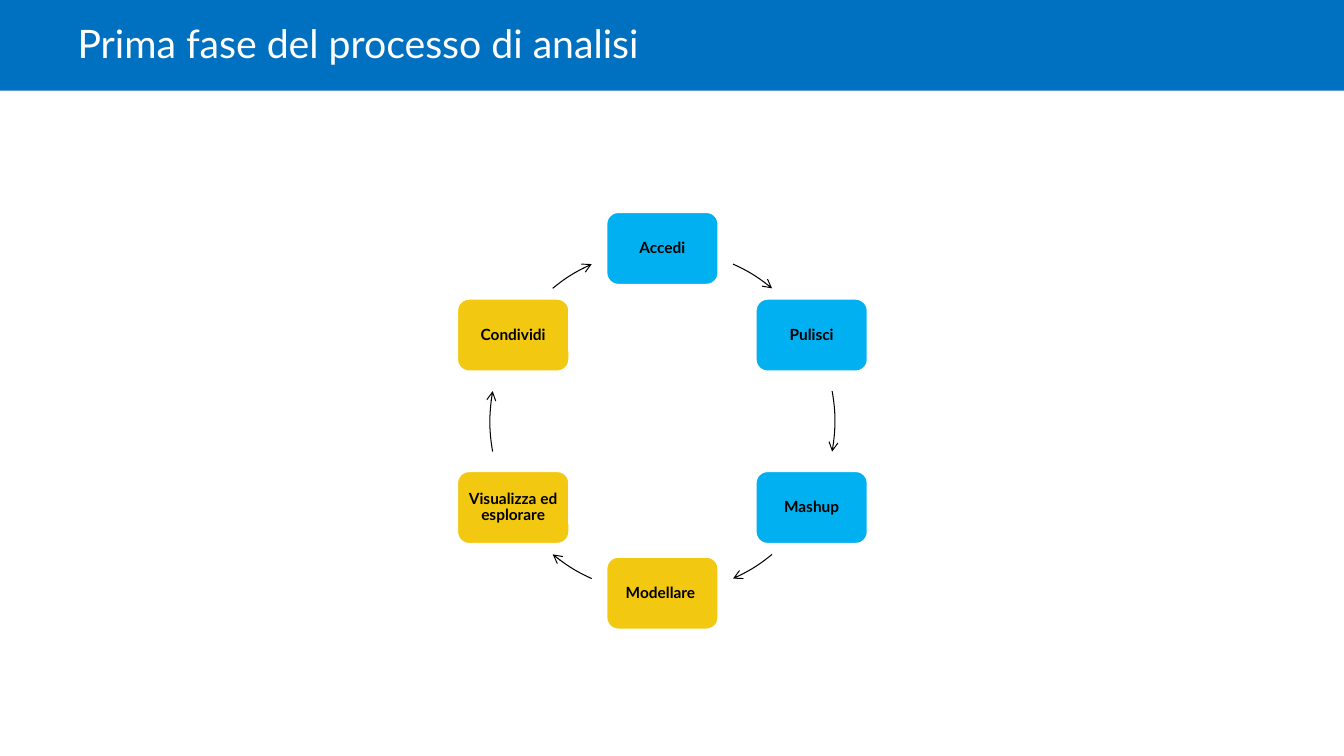
import math
from dataclasses import dataclass

from lxml import etree
from pptx import Presentation
from pptx import util as u
from pptx.dml.color import RGBColor
from pptx.enum import shapes, text
from pptx.oxml.ns import qn

PX = u.Inches(1) // 100  # one px is a hundredth of an inch


@dataclass(frozen=True)
class Theme:
    font: str = "Lato"
    bar: str = "0070C0"
    prepare: str = "00B0F0"
    deliver: str = "F2C811"
    ink: str = "000000"
    paper: str = "FFFFFF"
    title_size: int = 28
    step_size: int = 11


def paint(target, colour):
    target.solid()
    target.fore_color.rgb = RGBColor.from_string(colour)


def write(shape, words, *, font, size, colour, bold=False,
          align=text.PP_ALIGN.LEFT, inset=10):
    """Put one formatted paragraph, vertically centred, into a shape."""
    frame = shape.text_frame
    frame.word_wrap = True
    frame.auto_size = text.MSO_AUTO_SIZE.NONE
    frame.vertical_anchor = text.MSO_ANCHOR.MIDDLE
    frame.margin_left = frame.margin_right = inset * PX
    frame.margin_top = frame.margin_bottom = inset * PX
    para = frame.paragraphs[0]
    para.alignment = align
    para.line_spacing = 0.9
    span = para.add_run()
    span.text = words
    span.font.name = font
    span.font.size = u.Pt(size)
    span.font.bold = bold
    span.font.color.rgb = RGBColor.from_string(colour)


def around(centre, radius, angle):
    """Point on a circle, in degrees clockwise from the top."""
    turn = math.radians(angle)
    return (centre[0] + radius * math.sin(turn),
            centre[1] - radius * math.cos(turn))


def bezier_arc(centre, radius, start, end):
    """Four points of the cubic curve that follows a clockwise arc."""
    pull = 4 / 3 * math.tan(math.radians(end - start) / 4)
    reach = radius * math.hypot(1, pull)
    lean = math.degrees(math.atan(pull))
    return [around(centre, radius, start), around(centre, reach, start + lean),
            around(centre, reach, end - lean), around(centre, radius, end)]


class CyclePage:
    def __init__(self, page, theme):
        self.page = page
        self.theme = theme

    def block(self, kind, left, top, width, height, fill):
        box = self.page.shapes.add_shape(
            kind, left * PX, top * PX, width * PX, height * PX)
        box.shadow.inherit = False
        paint(box.fill, fill)
        box.line.fill.background()
        return box

    def title(self, words, width, height):
        """Lay the coloured bar and set the title placeholder over it."""
        self.block(shapes.MSO_SHAPE.RECTANGLE, 0, 0, width, height, self.theme.bar)
        title = self.page.shapes.title
        title.left, title.top = 67 * PX, 0
        title.width, title.height = 1200 * PX, height * PX
        self.page.shapes._spTree.append(title._element)
        write(title, words, font=self.theme.font, size=self.theme.title_size,
              colour=self.theme.paper)

    def step(self, words, centre, size, fill):
        (x, y), (width, height) = centre, size
        box = self.block(shapes.MSO_SHAPE.ROUNDED_RECTANGLE, round(x - width / 2),
                         round(y - height / 2), width, height, fill)
        paint(box.line.fill, self.theme.paper)
        box.line.width = u.Pt(2)
        write(box, words, font=self.theme.font, size=self.theme.step_size,
              colour=self.theme.ink, bold=True,
              align=text.PP_ALIGN.CENTER, inset=5)

    def arc_arrow(self, centre, radius, start, end):
        """Draw a clockwise arc, framed by its whole circle, with an open head."""
        left, top = ((middle - radius) * PX for middle in centre)
        side = 2 * radius * PX
        builder = self.page.shapes.build_freeform(left, top)
        builder.add_line_segments([(left + side, top + side)], close=False)
        arc = builder.convert_to_shape()
        outline = arc._element.find(".//" + qn("a:path"))
        for stroke in list(outline):
            outline.remove(stroke)
        points = bezier_arc((radius * PX, radius * PX), radius * PX, start, end)
        for tag, part in (("a:moveTo", points[:1]), ("a:cubicBezTo", points[1:])):
            stroke = etree.SubElement(outline, qn(tag))
            for x, y in part:
                etree.SubElement(stroke, qn("a:pt"), x=str(round(x)), y=str(round(y)))
        arc.shadow.inherit = False
        arc.fill.background()
        paint(arc.line.fill, self.theme.ink)
        arc.line.width = u.Pt(0.75)
        etree.SubElement(arc.line._get_or_add_ln(), qn("a:tailEnd"), type="arrow")


def main():
    theme = Theme()
    deck = Presentation()
    deck.slide_width, deck.slide_height = 1333 * PX, 750 * PX
    cycle = CyclePage(deck.slides.add_slide(deck.slide_layouts[5]), theme)
    cycle.title("Prima fase del processo di analisi", 1333, 90)

    steps = [("Accedi", theme.prepare), ("Pulisci", theme.prepare),
             ("Mashup", theme.prepare), ("Modellare ", theme.deliver),
             ("Visualizza ed esplorare", theme.deliver),
             ("Condividi", theme.deliver)]
    # Arrow ends within each half turn, clear of the boxes
    spans = [(24.2, 39.5), (79.9, 100.1), (140.5, 155.8)]
    centre, radius = (657, 418), 171
    for i, (words, fill) in enumerate(steps):
        cycle.step(words, around(centre, radius, i * 360 / len(steps)),
                   (112, 73), fill)
        half, place = divmod(i, len(spans))
        start, end = (angle + 180 * half for angle in spans[place])
        cycle.arc_arrow(centre, radius, start, end)

    deck.save("out.pptx")


if __name__ == "__main__":
    main()
